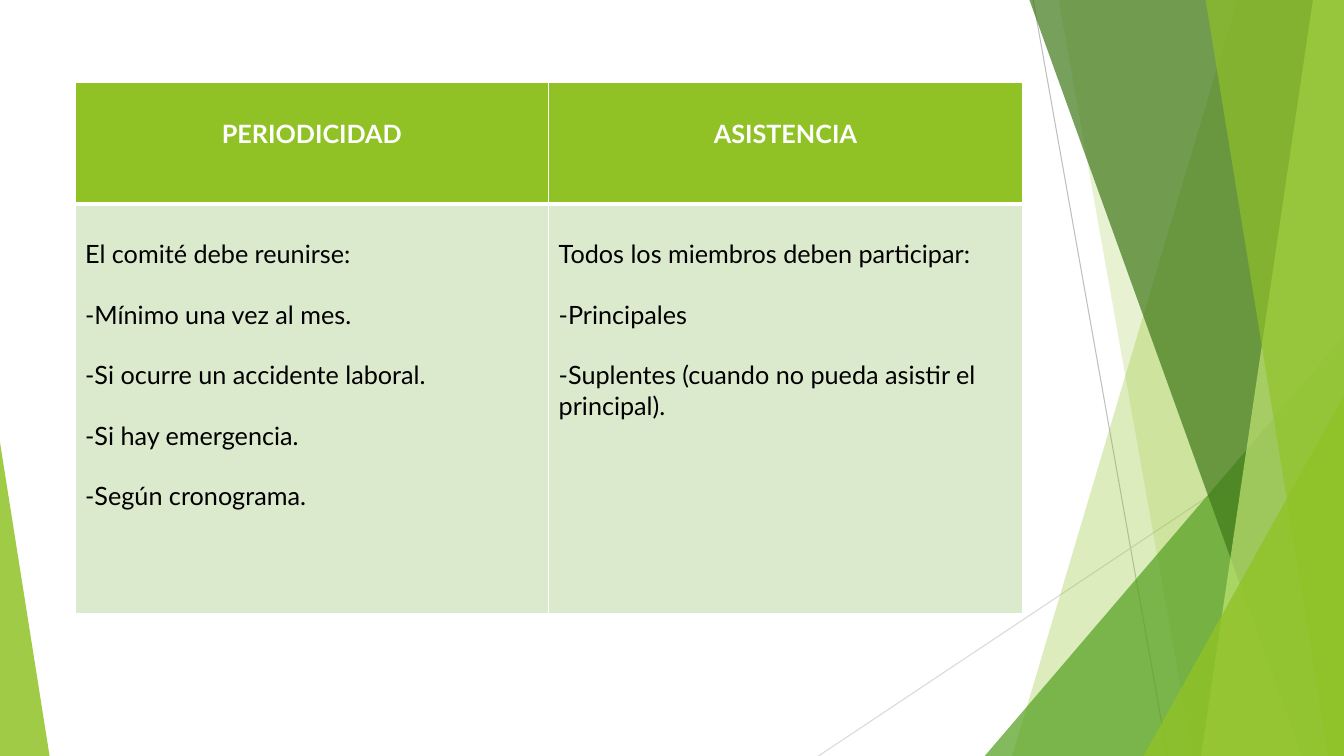
"""Build a slide with a two-column table on committee meetings over a green faceted backdrop."""
from dataclasses import dataclass

from lxml.etree import SubElement
from pptx import Presentation
from pptx.dml.color import RGBColor as Rgb
from pptx.enum.shapes import MSO_CONNECTOR as Connector, MSO_SHAPE as Shape
from pptx.enum.text import PP_ALIGN as Align
from pptx.oxml.ns import qn
from pptx.util import Pt

COLUMNS = [
    ("PERIODICIDAD", [
        "El comité debe reunirse:",
        "-Mínimo una vez al mes.",
        "-Si ocurre un accidente laboral.",
        "-Si hay emergencia.",
        "-Según cronograma.",
    ]),
    ("ASISTENCIA", [
        "Todos los miembros deben participar:",
        "-Principales",
        "-Suplentes (cuando no pueda asistir el principal).",
    ]),
]


@dataclass(frozen=True)
class Theme:
    lime: str = "90C226"
    green: str = "54A021"
    forest: str = "3F7819"
    pale: str = "C0E474"
    body_fill: str = "DBE9CD"
    white: str = "FFFFFF"
    black: str = "000000"
    rule_dark: str = "BFBFBF"
    rule_light: str = "D9D9D9"
    font: str = "Lato"
    size: float = 18
    line_gap: float = 21.6


THEME = Theme()
WIDTH, HEIGHT = 960, 540
FACET_TOP = -0.7
TABLE_LEFT, TABLE_TOP, COLUMN_WIDTH = 53.6, 59.2, 338.3
ROW_HEIGHTS = [86.4, 293]
CELL_MARGIN = 3.6

RULES = [
    ((738, 0), (834, HEIGHT), THEME.rule_dark),
    ((WIDTH, 290), (584.6, HEIGHT), THEME.rule_light),
]
FACETS = [
    ("band", (884.2, 722.9), THEME.lime, 30),
    ("band", (756, 851.8), THEME.lime, 20),
    ("triangle", (703.4, 240, 256.6, 1), THEME.green, 72),
    ("band", (735.1, 929.5), THEME.forest, 70),
    ("band", (938.2, 858.2), THEME.pale, 70),
    ("band", (861.1, 949), THEME.lime, 65),
    ("triangle", (816.8, 283, 143.2, 1), THEME.lime, 80),
    ("triangle", (0, 316, 35.4, 0), THEME.lime, 85),
]


def add_rule(slide, start, end, color):
    rule = slide.shapes.add_connector(Connector.STRAIGHT, *map(Pt, start + end))
    rule.line.color.rgb = Rgb.from_string(color)
    rule.line.width = Pt(0.75)
    SubElement(rule._element.spPr, qn("a:effectLst"))


def add_band(slide, top_left, bottom_left):
    builder = slide.shapes.build_freeform(top_left, FACET_TOP, scale=Pt(1))
    builder.add_line_segments([(WIDTH, FACET_TOP), (WIDTH, HEIGHT), (bottom_left, HEIGHT)])
    return builder.convert_to_shape()


def add_triangle(slide, left, top, width, apex):
    triangle = slide.shapes.add_shape(
        Shape.ISOSCELES_TRIANGLE, Pt(left), Pt(top), Pt(width), Pt(HEIGHT - top))
    triangle.adjustments[0] = apex
    return triangle


def paint_facet(facet, color, opacity):
    facet.shadow.inherit = False
    facet.line.fill.background()
    facet.fill.solid()
    facet.fill.fore_color.rgb = Rgb.from_string(color)
    color_node = facet._element.spPr.find(qn("a:solidFill"))[0]
    SubElement(color_node, qn("a:alpha"), val=str(opacity * 1000))


def set_borders(cell, top, bottom):
    properties = cell._tc.get_or_add_tcPr()
    for side, width in (("L", 1), ("R", 1), ("T", top), ("B", bottom)):
        border = SubElement(properties, qn(f"a:ln{side}"), w=str(Pt(width)))
        SubElement(SubElement(border, qn("a:solidFill")), qn("a:srgbClr"), val=THEME.white)


def fill_cell(cell, lines, fill, color, align, bold, borders):
    set_borders(cell, *borders)
    cell.fill.solid()
    cell.fill.fore_color.rgb = Rgb.from_string(fill)
    cell.margin_top = Pt(CELL_MARGIN + THEME.line_gap)
    frame = cell.text_frame
    for index, line in enumerate(lines):
        para = frame.add_paragraph() if index else frame.paragraphs[0]
        para.alignment = align
        if index:
            para.space_before = Pt(THEME.line_gap)
        span = para.add_run()
        span.text = line
        span.font.name = THEME.font
        span.font.size = Pt(THEME.size)
        span.font.bold = bold
        span.font.color.rgb = Rgb.from_string(color)


def add_meeting_table(slide):
    table = slide.shapes.add_table(
        len(ROW_HEIGHTS), len(COLUMNS), Pt(TABLE_LEFT), Pt(TABLE_TOP),
        Pt(COLUMN_WIDTH * len(COLUMNS)), Pt(sum(ROW_HEIGHTS))).table
    table.horz_banding = False
    for row, height in zip(table.rows, ROW_HEIGHTS):
        row.height = Pt(height)
    for index, (heading, lines) in enumerate(COLUMNS):
        table.columns[index].width = Pt(COLUMN_WIDTH)
        fill_cell(table.cell(0, index), [heading], THEME.lime, THEME.white,
                  Align.CENTER, True, (1, 3))
        fill_cell(table.cell(1, index), lines, THEME.body_fill, THEME.black,
                  Align.LEFT, False, (3, 1))


def main():
    deck = Presentation()
    deck.slide_width, deck.slide_height = Pt(WIDTH), Pt(HEIGHT)
    page = deck.slides.add_slide(deck.slide_layouts[6])
    for start, end, color in RULES:
        add_rule(page, start, end, color)
    makers = {"band": add_band, "triangle": add_triangle}
    for kind, geometry, color, opacity in FACETS:
        paint_facet(makers[kind](page, *geometry), color, opacity)
    add_meeting_table(page)
    deck.save("out.pptx")


if __name__ == "__main__":
    main()
